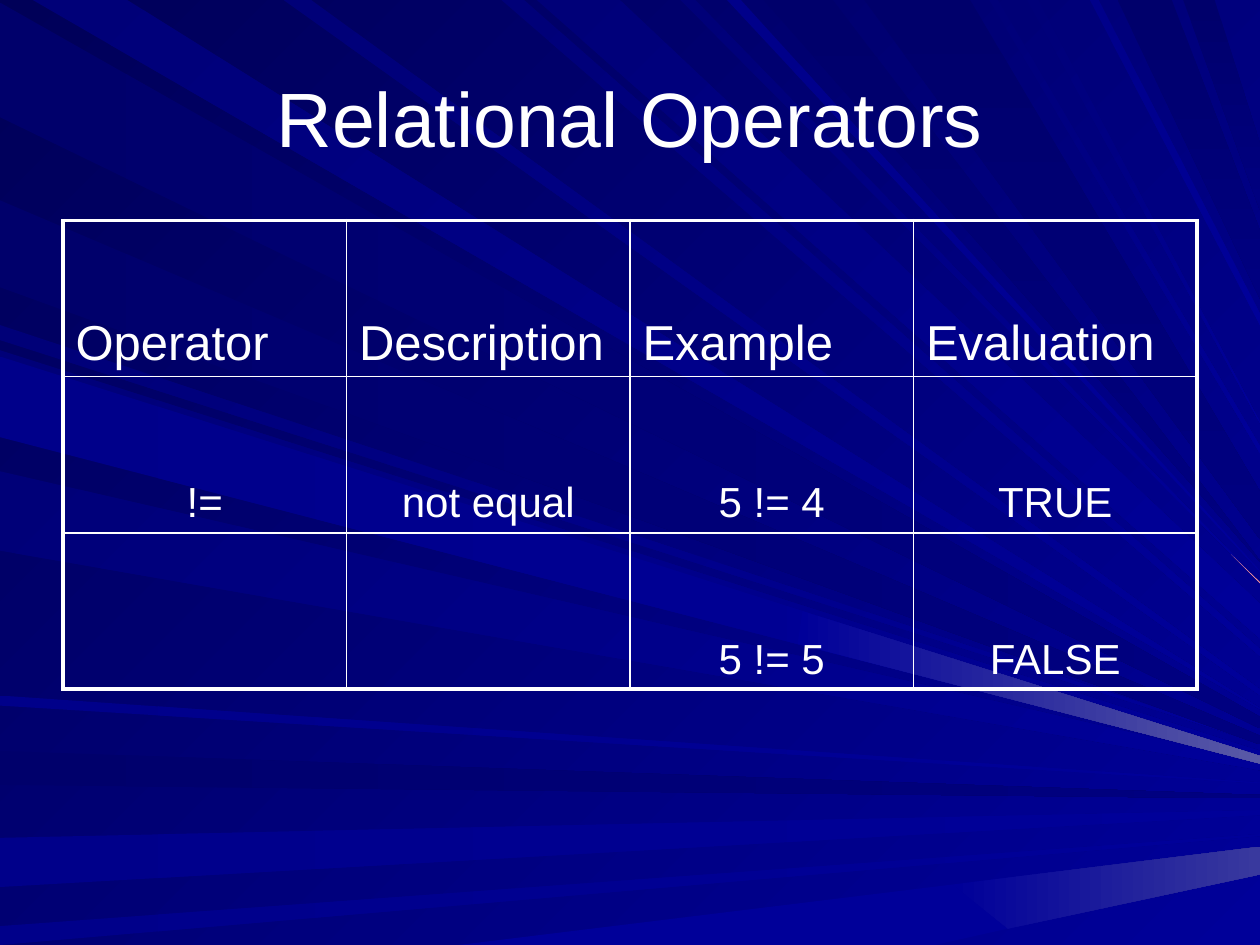
from dataclasses import dataclass

from lxml.etree import SubElement
from pptx import Presentation
from pptx.dml.color import RGBColor
from pptx.enum.text import MSO_ANCHOR as Anchor, PP_ALIGN as Align
from pptx.oxml.ns import qn
from pptx.util import Inches, Pt


@dataclass(frozen=True)
class Theme:
    """Colours, font, type sizes and rule widths."""
    font: str = "Arial"
    ink: str = "FFFFFF"
    back: tuple = ("000058", "000099")
    dim: tuple = ("00006B", "000080")
    glow: tuple = ("000078", "000099")
    soft: tuple = ("00008A", "000099")
    bright: tuple = ("000099", "000099")
    pale: tuple = ("000099", "5A5AA6")
    haze: tuple = ("000099", "39399E")
    spark: tuple = ("FF9999", "FF9999")
    title: int = 44
    head: int = 28
    body: int = 24
    frame: float = 2.25
    rule: float = 1


THEME = Theme()
COLS, ROWS = 10, 7.5
TITLE = "Relational Operators"
TABLE = [
    ["Operator", "Description", "Example", "Evaluation"],
    ["!=", "not equal", "5 != 4", "TRUE"],
    ["", "", "5 != 5", "FALSE"],
]
LEFT_RAYS = [
    (THEME.dim, 0.02, 0.93, 5.69),
    (THEME.dim, 5.96, 6.23, 6.31),
    (THEME.soft, 6.65, 7.04, 6.43),
    (THEME.soft, 7.35, 7.5, 6.62),
    (THEME.glow, 2.58, 2.7, 5.89),
    (THEME.dim, 1.59, 2.28, 5.84),
    (THEME.glow, 2.78, 3.42, 5.96),
    (THEME.glow, 3.74, 4.37, 6.05),
    (THEME.soft, 5.52, 5.6, 6.21),
    (THEME.soft, 2.83, 3.47, 6),
]
TOP_RAYS = [
    (THEME.glow, 0.26, 1.01, 5.62, 5.63),
    (THEME.glow, 3.98, 4.16, 5.15, 5.21),
    (THEME.glow, 4.26, 4.92, 4.79, 5.07),
    (THEME.glow, 5.4, 5.52, 4.62, 4.63),
    (THEME.dim, 6.06, 6.61, 4.45, 4.46),
    (THEME.dim, 8.87, 9.3, 1.83, 2.37),
    (THEME.dim, 9.39, 9.64, 1.14, 1.67),
    (THEME.glow, 2.25, 2.47, 5.47, 5.52),
    (THEME.soft, 5.77, 5.88, 4.53, 4.54),
    (THEME.dim, 6.86, 7.7, 3.9, 4.28),
    (THEME.glow, 7.85, 7.92, 3.54, 3.6),
    (THEME.glow, 8.15, 8.24, 3.35, 3.36),
    (THEME.soft, 8.65, 8.72, 2.49, 2.58),
]
PATCHES = [
    (THEME.bright, [(3.64, 7.5), (7.56, 7.02), (8, 7.37), (7.42, 7.5)]),
    (THEME.haze, [(7.56, 7.02), (10, 6.72), (10, 6.94), (8, 7.37)]),
    (THEME.pale, [(6.37, 4.85), (10, 6), (10, 6.06), (6.33, 5.11)]),
    (THEME.spark, [(9.77, 4.4), (10, 4.62), (10, 4.63)]),
]


def paint(fill, colors, angle):
    """Fill with one colour, or with a gradient turned clockwise by angle."""
    if len(set(colors)) == 1:
        fill.solid()
        fill.fore_color.rgb = RGBColor.from_string(colors[0])
        return
    fill.gradient()
    fill.gradient_angle = -angle % 360
    for stop, color in zip(fill.gradient_stops, colors):
        stop.color.rgb = RGBColor.from_string(color)


def write(tf, text, size, align):
    """Put one styled paragraph into a text frame."""
    p = tf.paragraphs[0]
    p.text = text
    p.alignment = align
    p.font.name, p.font.size = THEME.font, Pt(size)
    p.font.color.rgb = RGBColor.from_string(THEME.ink)


def ray_outlines():
    """Yield colours, angle and grid points of every ray and patch."""
    for tone, top, bottom, tip in LEFT_RAYS:
        end = tip + (bottom - top) / 10
        angle = 45 if tone == THEME.glow else 0
        yield tone, angle, [(0, top), (COLS, tip), (COLS, end), (0, bottom)]
    for tone, left, right, tip, end in TOP_RAYS:
        angle = 90 if tone == THEME.dim else 45
        yield tone, angle, [(left, 0), (right, 0), (COLS, tip), (COLS, end)]
    for tone, points in PATCHES:
        yield tone, 0, points


def add_rays(s, x, y, w, h):
    """Draw the fan of light rays over the box."""
    group = s.shapes.add_group_shape()
    for tone, angle, points in ray_outlines():
        first, *rest = [(x + w * px / COLS, y + h * py / ROWS) for px, py in points]
        builder = group.shapes.build_freeform(*first)
        builder.add_line_segments(rest, close=True)
        sp = builder.convert_to_shape()
        sp.shadow.inherit = False
        sp.line.fill.background()
        paint(sp.fill, tone, angle)


def add_title(s, x, y, w, h):
    """Centre the title in the box."""
    tf = s.shapes.add_textbox(x, y, w, h).text_frame
    tf.word_wrap = True
    tf.vertical_anchor = Anchor.MIDDLE
    write(tf, TITLE, THEME.title, Align.CENTER)


def set_borders(cell, outer):
    """Rule the four sides of a cell, heavier where it meets the frame."""
    props = cell._tc.get_or_add_tcPr()
    for i, (side, is_outer) in enumerate(zip("LRTB", outer)):
        width = Pt(THEME.frame if is_outer else THEME.rule)
        ln = props.makeelement(qn(f"a:ln{side}"), {"w": str(int(width))})
        SubElement(SubElement(ln, qn("a:solidFill")), qn("a:srgbClr"), val=THEME.ink)
        props.insert(i, ln)


def add_grid(s, x, y, w, h):
    """Fill the box with the operator table."""
    n_rows, n_cols = len(TABLE), len(TABLE[0])
    table = s.shapes.add_table(n_rows, n_cols, x, y, w, h).table
    table.first_row = table.horz_banding = False
    for r, row in enumerate(TABLE):
        for c, text in enumerate(row):
            cell = table.cell(r, c)
            cell.fill.background()
            cell.vertical_anchor = Anchor.BOTTOM
            set_borders(cell, (c == 0, c == n_cols - 1, r == 0, r == n_rows - 1))
            size, align = (THEME.body, Align.CENTER) if r else (THEME.head, Align.LEFT)
            write(cell.text_frame, text, size, align)


def main():
    """Build and save the slide."""
    prs = Presentation()
    prs.slide_width, prs.slide_height = Inches(COLS), Inches(ROWS)
    s = prs.slides.add_slide(prs.slide_layouts[6])
    w, h = prs.slide_width, prs.slide_height
    paint(s.background.fill, THEME.back, 45)
    add_rays(s, 0, 0, w, h)
    left, width = int(w * 0.05), int(w * 0.9)
    add_title(s, left, int(h * 0.04), width, int(h / 6))
    add_grid(s, left, int(h * 7 / 30), width, Inches(3.72))
    prs.save("out.pptx")


if __name__ == "__main__":
    main()
